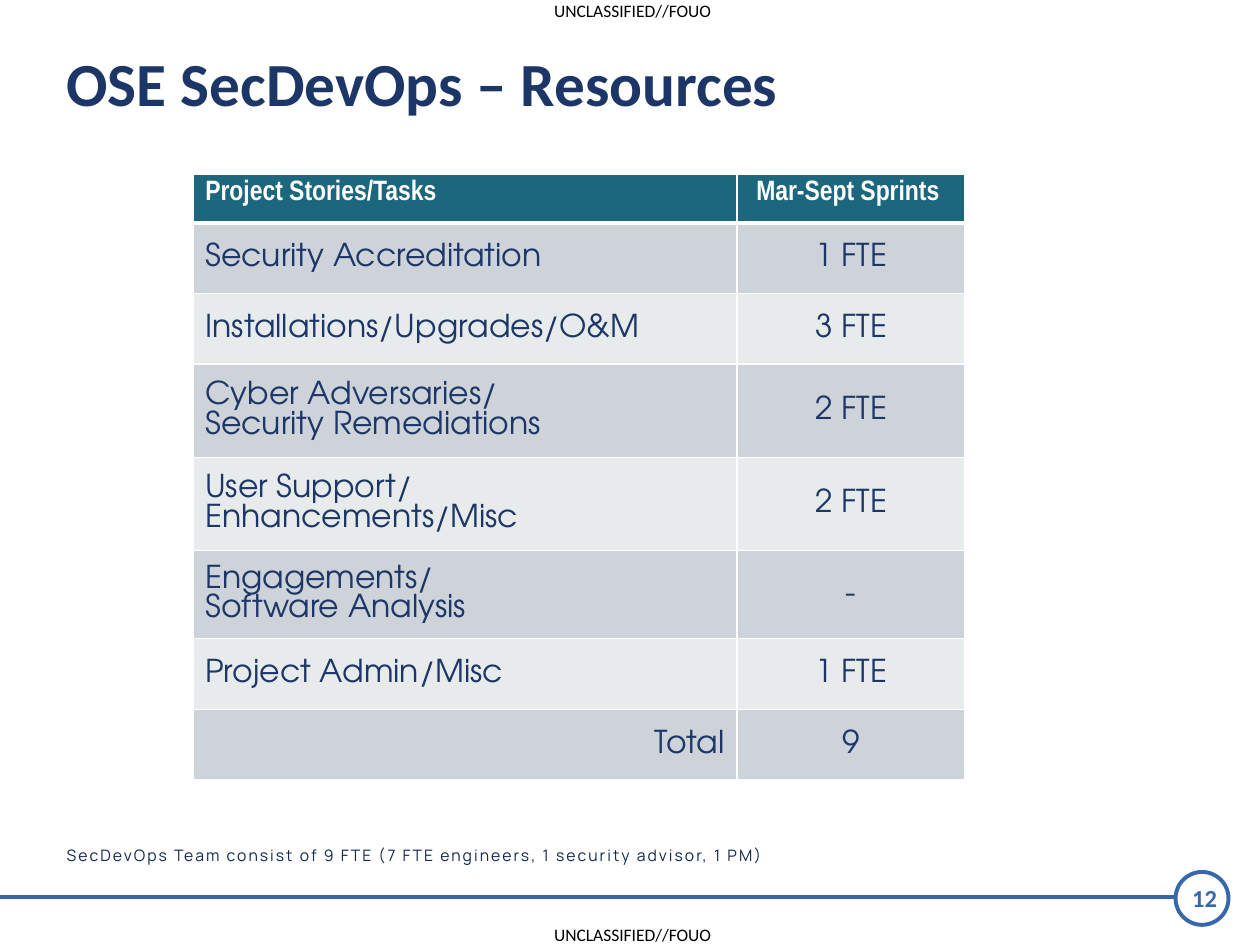
"""Build the SecDevOps resources slide with its staffing table."""
from dataclasses import dataclass

from lxml import etree
from pptx import Presentation
from pptx.dml.color import RGBColor
from pptx.enum.shapes import MSO_CONNECTOR, MSO_SHAPE
from pptx.enum.text import MSO_ANCHOR, PP_ALIGN
from pptx.oxml.ns import qn
from pptx.util import Inches, Pt

LEFT, CENTER, RIGHT = PP_ALIGN.LEFT, PP_ALIGN.CENTER, PP_ALIGN.RIGHT
TOP, MIDDLE = MSO_ANCHOR.TOP, MSO_ANCHOR.MIDDLE
STRAIGHT, OVAL = MSO_CONNECTOR.STRAIGHT, MSO_SHAPE.OVAL

COLORS = {
    "black": "000000", "white": "FFFFFF", "navy": "1C3667", "ink": "15284D",
    "blue": "3867AB", "teal": "1D677E", "band_dark": "CDD3D8", "band_light": "E8EBEC",
}


@dataclass(frozen=True)
class Style:
    font: str
    size: float
    color: str
    bold: bool = False
    tracking: float = 0


@dataclass(frozen=True)
class Label:
    text: str
    box: tuple[float, float, float, float]
    style: Style
    align: PP_ALIGN = LEFT
    anchor: MSO_ANCHOR = TOP
    wrap: bool = True
    padded: bool = True


@dataclass(frozen=True)
class Task:
    name: str
    effort: str
    height: float = 0.56
    align: PP_ALIGN = LEFT


MARKING = Style("Calibri", 10, "black")
TITLE = Style("Calibri", 35, "navy", True)
PAGE = Style("Calibri", 14, "blue", True)
NOTE = Style("Manrope", 9, "ink", tracking=1.15)
HEADER = Style("Arial Narrow", 16, "white", True)
BODY = Style("TeX Gyre Adventor", 18, "navy")

LABELS = [
    *(Label("UNCLASSIFIED//FOUO", (4.38, top, 1.28, 0.17), MARKING, CENTER, padded=False)
      for top in (0, 7.33)),
    Label("12", (9.2, 6.96, 0.72, 0.33), PAGE, CENTER, MIDDLE),
    Label("OSE SecDevOps – Resources", (0.43, 0.31, 7.09, 0.69), TITLE),
    Label("SecDevOps Team consist of 9 FTE (7 FTE engineers, 1 security advisor, 1 PM)",
          (0.43, 6.66, 5.98, 0.25), NOTE, wrap=False),
]
TASKS = [
    Task("Project Stories/Tasks", "Mar-Sept Sprints ", 0.39),
    Task("Security Accreditation", "1 FTE"),
    Task("Installations/Upgrades/O&M", "3 FTE"),
    Task("Cyber Adversaries/\nSecurity Remediations", "2 FTE", 0.74),
    Task("User Support/\nEnhancements/Misc", "2 FTE", 0.74),
    Task("Engagements/\nSoftware Analysis", "-", 0.7),
    Task("Project Admin/Misc", "1 FTE"),
    Task("Total", "9", align=RIGHT),
]
COLUMN_WIDTHS = (4.32, 1.81)


def rgb(name: str) -> RGBColor:
    return RGBColor.from_string(COLORS[name])


def write(frame, text: str, style: Style, align: PP_ALIGN) -> None:
    paragraph = frame.paragraphs[0]
    paragraph.alignment = align
    for index, line in enumerate(text.split("\n")):
        if index:
            paragraph.add_line_break()
        run = paragraph.add_run()
        run.text = line
        run.font.name, run.font.size = style.font, Pt(style.size)
        run.font.bold = style.bold
        run.font.color.rgb = rgb(style.color)
        if style.tracking:
            run.font._element.set("spc", str(round(style.tracking * 100)))


def add_label(slide, label: Label) -> None:
    frame = slide.shapes.add_textbox(*map(Inches, label.box)).text_frame
    frame.word_wrap = label.wrap
    frame.vertical_anchor = label.anchor
    if not label.padded:
        frame.margin_left = frame.margin_right = Inches(0)
        frame.margin_top = frame.margin_bottom = Inches(0)
    write(frame, label.text, label.style, label.align)


def add_footer_rule(slide) -> None:
    rule = slide.shapes.add_connector(
        STRAIGHT, Inches(0), Inches(7.12), Inches(9.33), Inches(7.12))
    etree.SubElement(rule._element.spPr, qn("a:effectLst"))
    ring = slide.shapes.add_shape(
        OVAL, Inches(9.33), Inches(6.92), Inches(0.42), Inches(0.42))
    ring.shadow.inherit = False
    ring.fill.background()
    for outline in (rule.line, ring.line):
        outline.color.rgb = rgb("blue")
        outline.width = Pt(2.25)


def add_borders(cell, top: float, bottom: float) -> None:
    properties = cell._tc.get_or_add_tcPr()
    widths = {"lnL": 1, "lnR": 1, "lnT": top, "lnB": bottom}
    for position, (side, width) in enumerate(widths.items()):
        border = etree.Element(qn(f"a:{side}"), w=str(Pt(width)))
        fill = etree.SubElement(border, qn("a:solidFill"))
        etree.SubElement(fill, qn("a:srgbClr"), val=COLORS["white"])
        properties.insert(position, border)


def add_task_table(slide, tasks: list[Task]) -> None:
    table = slide.shapes.add_table(
        len(tasks), len(COLUMN_WIDTHS), Inches(1.53), Inches(1.38),
        Inches(sum(COLUMN_WIDTHS)), Inches(sum(task.height for task in tasks))).table
    for column, width in zip(table.columns, COLUMN_WIDTHS):
        column.width = Inches(width)
    for index, task in enumerate(tasks):
        table.rows[index].height = Inches(task.height)
        is_header = index == 0
        band = "teal" if is_header else "band_dark" if index % 2 else "band_light"
        contents = ((task.name, task.align), (task.effort, CENTER))
        for cell, (text, align) in zip(table.rows[index].cells, contents):
            cell.fill.solid()
            cell.fill.fore_color.rgb = rgb(band)
            cell.vertical_anchor = TOP if is_header else MIDDLE
            add_borders(cell, 3 if index == 1 else 1, 3 if is_header else 1)
            write(cell.text_frame, text, HEADER if is_header else BODY, align)


def main() -> None:
    deck = Presentation()
    deck.slide_width, deck.slide_height = Inches(10), Inches(7.5)
    slide = deck.slides.add_slide(deck.slide_layouts[6])
    add_footer_rule(slide)
    for label in LABELS:
        add_label(slide, label)
    add_task_table(slide, TASKS)
    deck.save("out.pptx")


if __name__ == "__main__":
    main()
